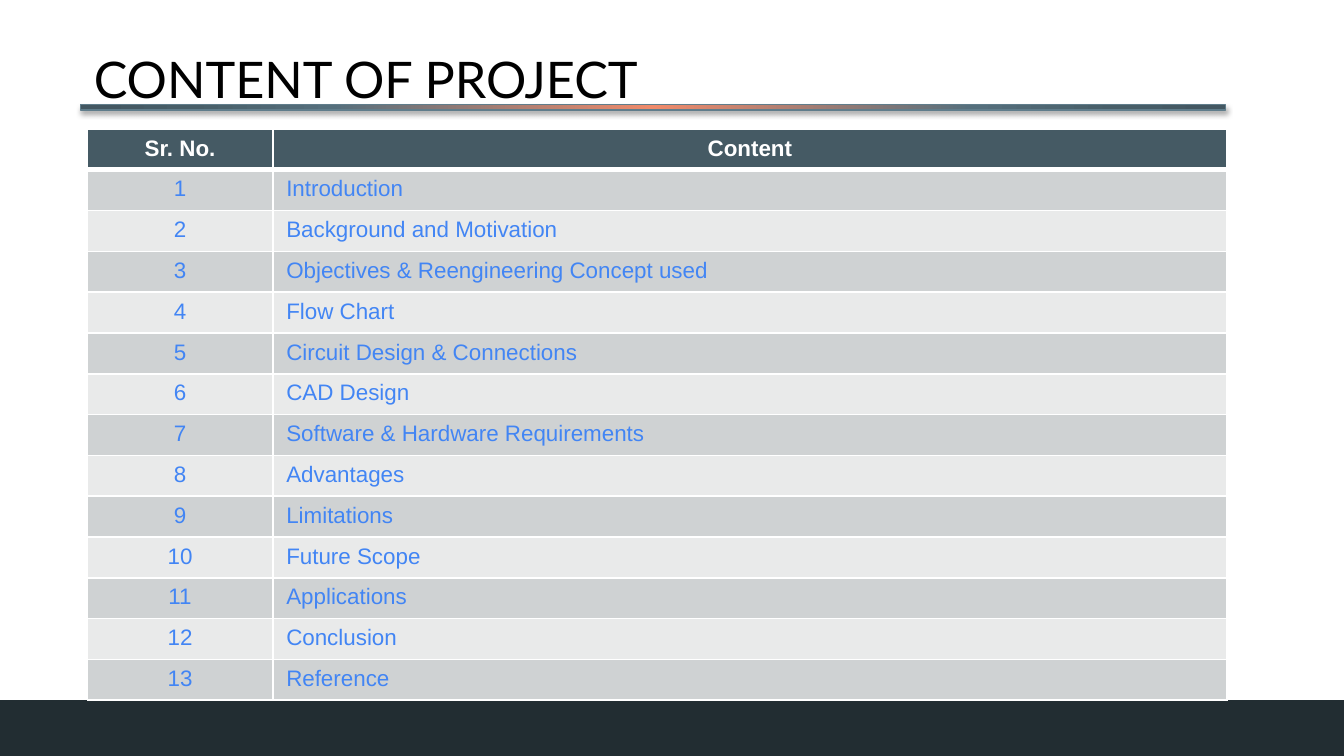
import pptx
import pptx.dml.color
import pptx.enum.shapes
import pptx.enum.text
import pptx.oxml
import pptx.oxml.ns
import pptx.util
from pptx.util import Inches

CONTENTS = [
    "Introduction",
    "Background and Motivation",
    "Objectives & Reengineering Concept used",
    "Flow Chart",
    "Circuit Design & Connections",
    "CAD Design",
    "Software & Hardware Requirements",
    "Advantages",
    "Limitations",
    "Future Scope",
    "Applications",
    "Conclusion",
    "Reference",
]
RULE_STOPS = [(0, "F08A6A"), (56, "556F7C"), (81, "485E68"), (97, "435761")]


def color(hex_string):
    return pptx.dml.color.RGBColor.from_string(hex_string)


class SlideBuilder:
    title_font = "Lato"
    body_font = "Arial"
    title_color = "000000"
    header_fill = "455A64"
    header_text = "FFFFFF"
    body_text = "4285F4"
    border_color = "FFFFFF"
    band_fills = ("CFD2D3", "E9EAEA")
    namespace = pptx.oxml.ns.nsdecls("a")

    def __init__(self, slide):
        self.slide = slide

    def add_run(self, paragraph, text, font, size, hex_string, bold=False):
        run = paragraph.add_run()
        run.text = text
        run.font.name = font
        run.font.size = pptx.util.Pt(size)
        run.font.bold = bold
        run.font.color.rgb = color(hex_string)

    def bar(self, left, top, width, height, fill):
        shape = self.slide.shapes.add_shape(
            pptx.enum.shapes.MSO_SHAPE.RECTANGLE,
            Inches(left), Inches(top), Inches(width), Inches(height))
        shape.shadow.inherit = False
        shape.fill.solid()
        shape.fill.fore_color.rgb = color(fill)
        shape.line.fill.background()
        return shape

    def gradient_rule(self, left, top, width, height, stops, line):
        shape = self.bar(left, top, width, height, stops[0][1])
        shape.line.color.rgb = color(line)
        shape.line.width = pptx.util.Pt(0.75)
        stop_xml = "".join(
            f'<a:gs pos="{position * 1000}"><a:srgbClr val="{stop}"/></a:gs>'
            for position, stop in stops)
        gradient = pptx.oxml.parse_xml(
            f'<a:gradFill {self.namespace}><a:gsLst>{stop_xml}</a:gsLst>'
            '<a:path path="circle"><a:fillToRect l="50000" t="50000" '
            'r="50000" b="50000"/></a:path></a:gradFill>')
        shadow = pptx.oxml.parse_xml(
            f'<a:effectLst {self.namespace}><a:outerShdw blurRad="{pptx.util.Pt(3.1)}" '
            f'dist="{pptx.util.Pt(1.8)}" dir="5400000" rotWithShape="0">'
            '<a:srgbClr val="000000"><a:alpha val="35000"/></a:srgbClr>'
            '</a:outerShdw></a:effectLst>')
        properties = shape.element.spPr
        for name, replacement in (("a:solidFill", gradient), ("a:effectLst", shadow)):
            properties.replace(properties.find(pptx.oxml.ns.qn(name)), replacement)

    def title(self, left, top, width, height, text):
        shape = self.slide.shapes.add_textbox(
            Inches(left), Inches(top), Inches(width), Inches(height))
        frame = shape.text_frame
        frame.word_wrap = True
        frame.vertical_anchor = pptx.enum.text.MSO_ANCHOR.TOP
        frame.margin_left = frame.margin_right = Inches(0.1)
        frame.margin_top = frame.margin_bottom = Inches(0.1)
        self.add_run(frame.paragraphs[0], text, self.title_font, 27, self.title_color)

    def cell_borders(self, cell, bottom_width):
        properties = cell._tc.get_or_add_tcPr()
        widths = (("lnL", 1), ("lnR", 1), ("lnT", 1), ("lnB", bottom_width))
        for position, (side, width) in enumerate(widths):
            properties.insert(position, pptx.oxml.parse_xml(
                f'<a:{side} {self.namespace} w="{pptx.util.Pt(width)}"><a:solidFill>'
                f'<a:srgbClr val="{self.border_color}"/></a:solidFill></a:{side}>'))

    def table(self, left, top, column_widths, height, rows):
        table = self.slide.shapes.add_table(
            len(rows), len(column_widths), Inches(left), Inches(top),
            Inches(sum(column_widths)), Inches(height)).table
        for column, width in zip(table.columns, column_widths):
            column.width = Inches(width)
        for row_index, row in enumerate(rows):
            header = row_index == 0
            fill = self.header_fill if header else self.band_fills[(row_index - 1) % 2]
            text_color = self.header_text if header else self.body_text
            for column_index, text in enumerate(row):
                cell = table.cell(row_index, column_index)
                cell.fill.solid()
                cell.fill.fore_color.rgb = color(fill)
                if header:
                    self.cell_borders(cell, 3)
                paragraph = cell.text_frame.paragraphs[0]
                if header or column_index == 0:
                    paragraph.alignment = pptx.enum.text.PP_ALIGN.CENTER
                self.add_run(paragraph, text, self.body_font, 12, text_color, header)


def main():
    presentation = pptx.Presentation()
    presentation.slide_width = Inches(10)
    presentation.slide_height = presentation.slide_width * 9 // 16
    slide = presentation.slides.add_slide(presentation.slide_layouts[6])
    builder = SlideBuilder(slide)
    builder.bar(0, 5.21, 10, 0.42, "222D32")
    builder.gradient_rule(0.6, 0.78, 8.52, 0.04, RULE_STOPS, "607D8B")
    builder.title(0.6, 0.26, 8.4, 0.44, "CONTENT OF PROJECT")
    rows = [("Sr. No.", "Content")]
    rows += [(str(number), entry) for number, entry in enumerate(CONTENTS, 1)]
    builder.table(0.65, 0.96, (1.38, 7.1), 4.25, rows)
    presentation.save("out.pptx")


if __name__ == "__main__":
    main()
